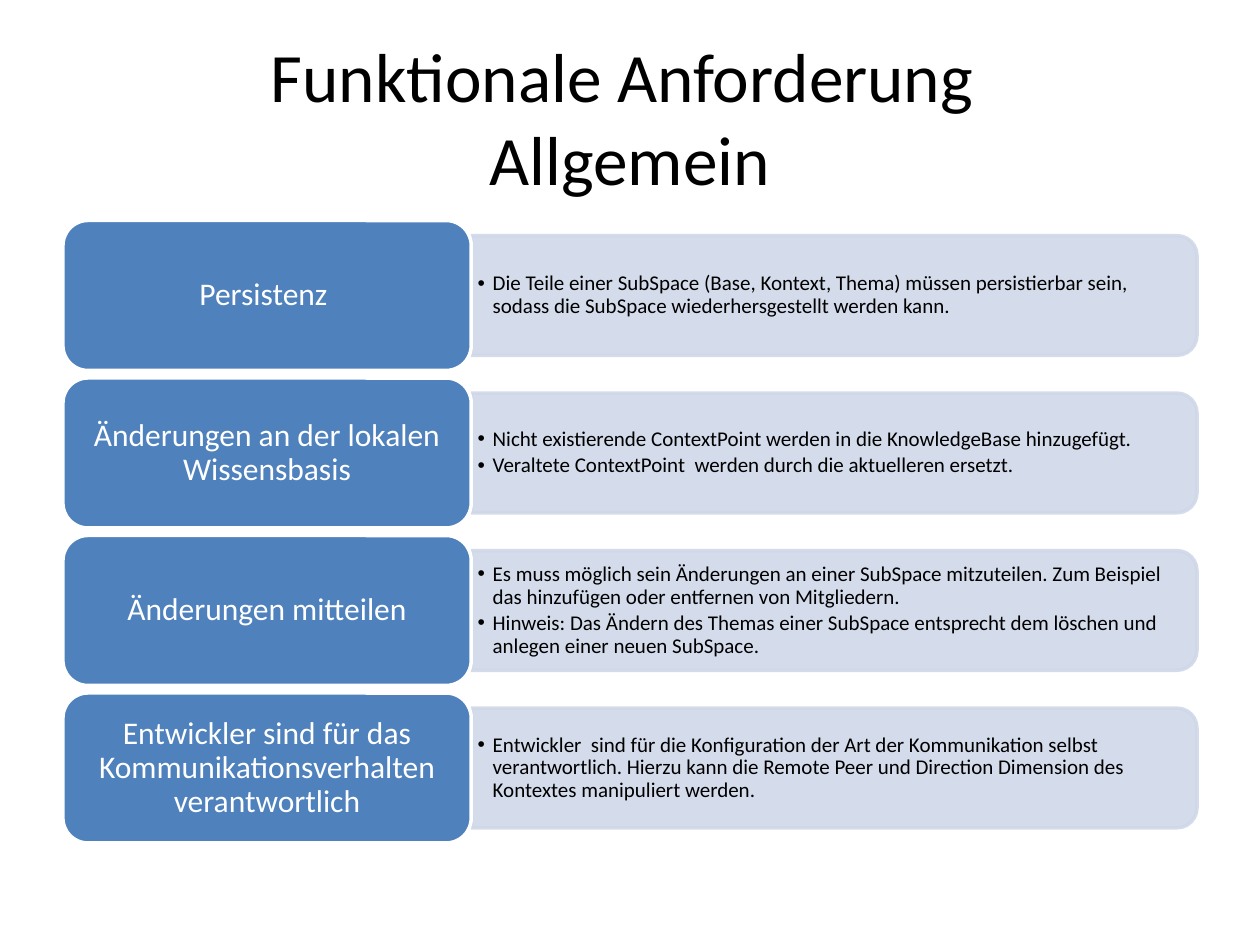
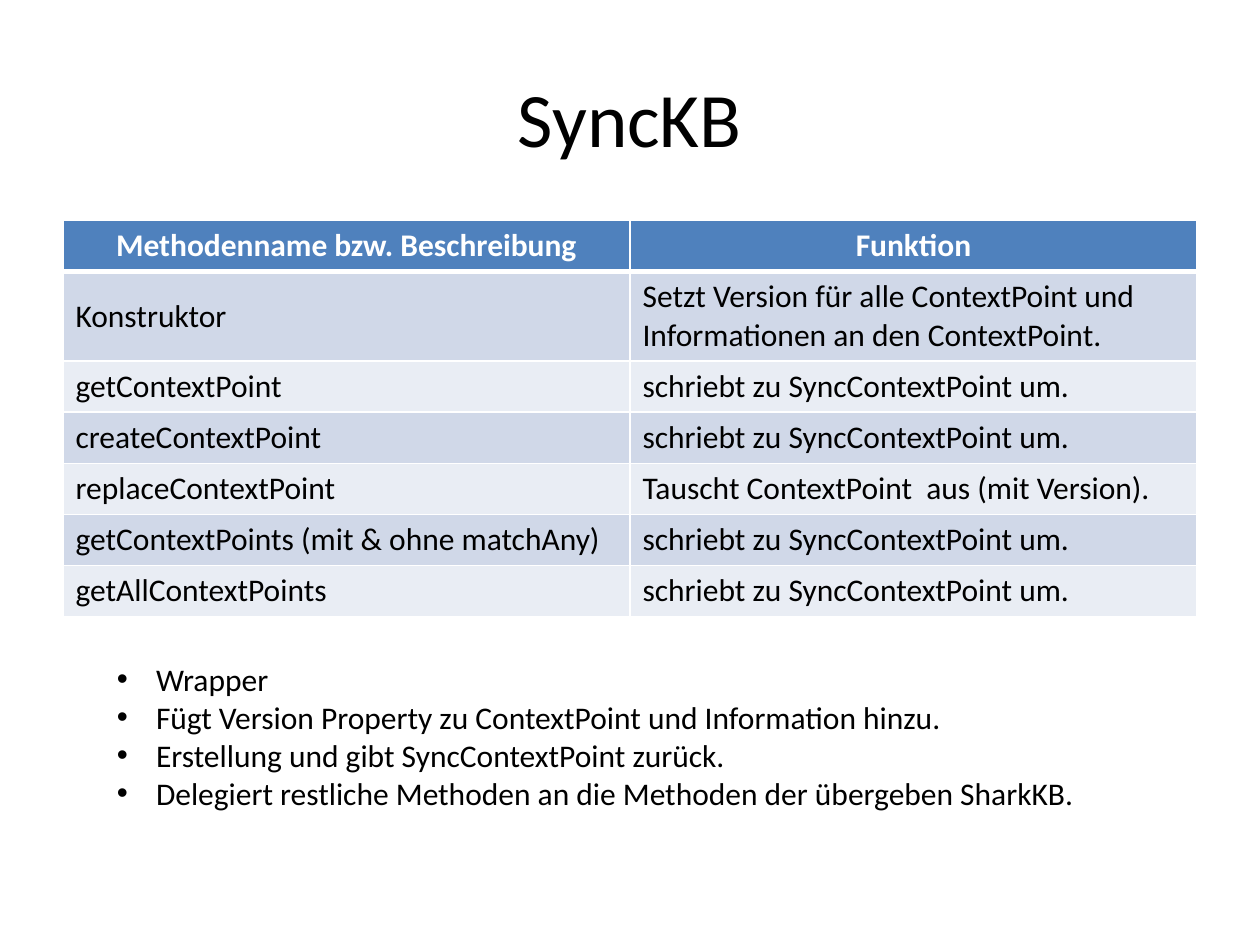
from lxml import etree
from pptx import Presentation
from pptx.dml.color import RGBColor
from pptx.enum.shapes import MSO_SHAPE
from pptx.enum.text import MSO_ANCHOR, PP_ALIGN
from pptx.oxml import parse_xml
from pptx.oxml.ns import nsdecls, qn
from pptx.util import Inches, Pt

BLACK = RGBColor(0x00, 0x00, 0x00)
WHITE = RGBColor(0xFF, 0xFF, 0xFF)
BLUE = RGBColor(0x4F, 0x81, 0xBD)
PALE = RGBColor(0xD0, 0xD8, 0xE8)
LIGHT = RGBColor(0xE9, 0xED, 0xF4)
FONT = "Calibri"
MID = MSO_ANCHOR.MIDDLE
LEFT, CENTER = PP_ALIGN.LEFT, PP_ALIGN.CENTER
PILL, TAB = MSO_SHAPE.ROUNDED_RECTANGLE, MSO_SHAPE.ROUND_2_SAME_RECTANGLE

TITLES = [("Funktionale Anforderung \vAllgemein", 39.6), ("SyncKB", 44)]
NEEDS = [
    ("Persistenz ", [
        "Die Teile einer SubSpace (Base, Kontext, Thema) müssen persistierbar sein, "
        "sodass die SubSpace wiederhersgestellt werden kann."]),
    ("Änderungen an der lokalen Wissensbasis", [
        "Nicht existierende ContextPoint werden in die KnowledgeBase hinzugefügt.",
        "Veraltete ContextPoint  werden durch die aktuelleren ersetzt."]),
    ("Änderungen mitteilen", [
        "Es muss möglich sein Änderungen an einer SubSpace mitzuteilen. Zum Beispiel "
        "das hinzufügen oder entfernen von Mitgliedern.",
        "Hinweis: Das Ändern des Themas einer SubSpace entsprecht dem löschen und "
        "anlegen einer neuen SubSpace."]),
    ("Entwickler sind für das Kommunikationsverhalten verantwortlich", [
        "Entwickler  sind für die Konfiguration der Art der Kommunikation selbst "
        "verantwortlich. Hierzu kann die Remote Peer und Direction Dimension des "
        "Kontextes manipuliert werden."]),
]
WRAP = "schriebt zu SyncContextPoint um."
ROWS = [
    ("Methodenname bzw. Beschreibung", "Funktion"),
    ("Konstruktor", "Setzt Version für alle ContextPoint und Informationen an den ContextPoint."),
    ("getContextPoint", WRAP),
    ("createContextPoint", WRAP),
    ("replaceContextPoint", "Tauscht ContextPoint  aus (mit Version)."),
    ("getContextPoints (mit & ohne matchAny)", WRAP),
    ("getAllContextPoints", WRAP),
]
NOTES = [
    "Wrapper",
    "Fügt Version Property zu ContextPoint und Information hinzu.",
    "Erstellung und gibt SyncContextPoint zurück.",
    "Delegiert restliche Methoden an die Methoden der übergeben SharkKB.",
]


def write(para, text, size, color=BLACK, align=LEFT, bold=False):
    para.text = text
    para.alignment = align
    font = para.font
    font.name, font.size, font.bold = FONT, Pt(size), bold
    font.color.rgb = color


def bullets(frame, lines, size, indent, spacing=None, after=None):
    frame.word_wrap = True
    for i, line in enumerate(lines):
        para = frame.add_paragraph() if i else frame.paragraphs[0]
        para.line_spacing = spacing
        para.space_after = after
        props = para._p.get_or_add_pPr()
        props.set("marL", str(Inches(indent)))
        props.set("indent", str(-Inches(indent)))
        etree.SubElement(props, qn("a:buFont")).set("typeface", "Arial")
        etree.SubElement(props, qn("a:buChar")).set("char", "•")
        write(para, line, size)


deck = Presentation()
deck.slide_width, deck.slide_height = Inches(10), Inches(7.5)
pages = []
for text, size in TITLES:
    page = deck.slides.add_slide(deck.slide_layouts[5])
    title = page.shapes.title
    title.left, title.top = Inches(0.5), Inches(0.3)
    title.width, title.height = Inches(9), Inches(1.25)
    title.text_frame.vertical_anchor = MID
    write(title.text_frame.paragraphs[0], text, size, align=CENTER)
    pages.append(page)
first, second = pages

PITCH, HIGH = 1.25, 1.19
LONG, THICK = 5.76, 0.95
for i, (name, lines) in enumerate(NEEDS):
    top = 1.75 + i * PITCH
    mid = top + HIGH / 2
    panel = first.shapes.add_shape(
        TAB, Inches(3.74 + (LONG - THICK) / 2), Inches(mid - LONG / 2), Inches(THICK), Inches(LONG))
    panel.rotation = 90
    pill = first.shapes.add_shape(PILL, Inches(0.5), Inches(top), Inches(3.24), Inches(HIGH))
    for shape, fill, line in ((panel, PALE, PALE), (pill, BLUE, WHITE)):
        shape.shadow.inherit = False
        shape.fill.solid()
        shape.fill.fore_color.rgb = fill
        shape.line.color.rgb = line
        shape.line.width = Pt(2)
    for color in panel._element.spPr.iter(qn("a:srgbClr")):
        etree.SubElement(color, qn("a:alpha")).set("val", "90000")

    frame = pill.text_frame
    frame.word_wrap = True
    frame.vertical_anchor = MID
    frame.margin_left = frame.margin_right = Inches(0.07)
    frame.margin_top = frame.margin_bottom = Inches(0.04)
    frame.paragraphs[0].line_spacing = 0.9
    write(frame.paragraphs[0], name, 18, WHITE, CENTER)

    box = first.shapes.add_textbox(Inches(3.74), Inches(mid - 0.43), Inches(5.71), Inches(0.86))
    frame = box.text_frame
    frame.vertical_anchor = MID
    frame.margin_left = frame.margin_right = Inches(0.05)
    frame.margin_top = frame.margin_bottom = Inches(0.03)
    bullets(frame, lines, 12, 0.12, 0.9, Pt(2))

table = second.shapes.add_table(
    len(ROWS), 2, Inches(0.5), Inches(1.75), Inches(9), Inches(3.13)).table
for r, row in enumerate(ROWS):
    table.rows[r].height = Inches({0: 0.4, 1: 0.7}.get(r, 0.4))
    for c, text in enumerate(row):
        cell = table.cell(r, c)
        head = r == 0
        for side in "LRTB":
            wide = 3 if (r, side) in ((0, "B"), (1, "T")) else 1
            cell._tc.get_or_add_tcPr().append(parse_xml(
                f'<a:ln{side} {nsdecls("a")} w="{Pt(wide)}"><a:solidFill>'
                f'<a:srgbClr val="{WHITE}"/></a:solidFill></a:ln{side}>'))
        cell.fill.solid()
        cell.fill.fore_color.rgb = BLUE if head else PALE if r % 2 else LIGHT
        write(cell.text_frame.paragraphs[0], text, 18,
              WHITE if head else BLACK, CENTER if head else LEFT, head)
table.cell(1, 0).vertical_anchor = MID

box = second.shapes.add_textbox(Inches(0.83), Inches(5.19), Inches(8.58), Inches(1.31))
bullets(box.text_frame, NOTES, 18, 0.31)

deck.save("out.pptx")
